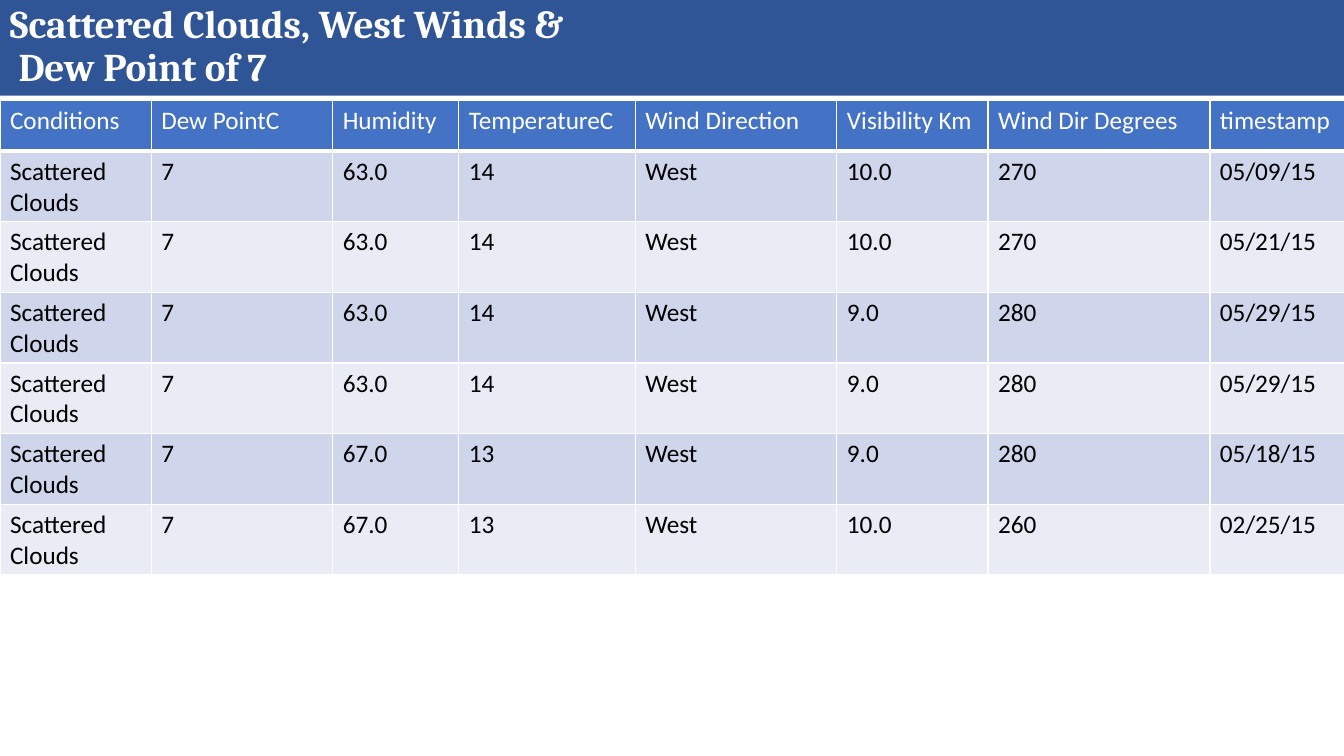
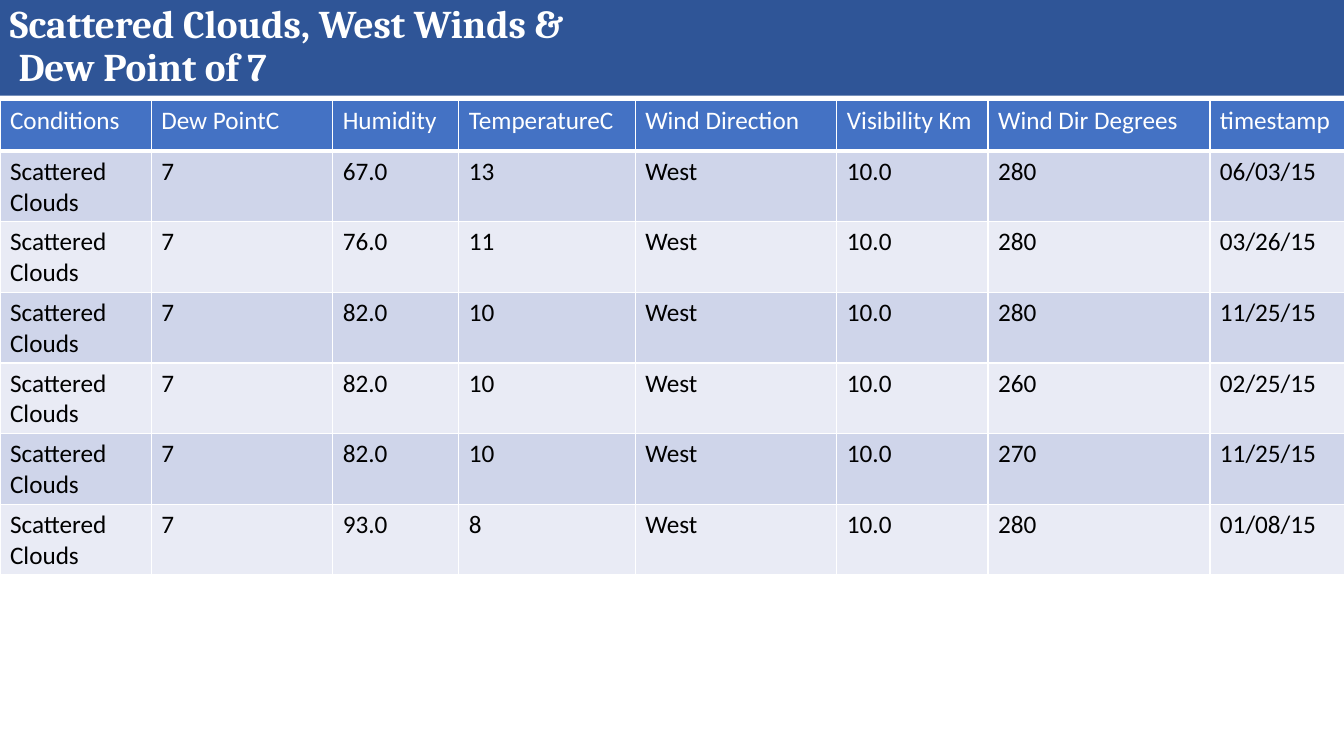
from dataclasses import dataclass

from lxml import etree
from pptx import Presentation
from pptx.dml.color import RGBColor
from pptx.enum.shapes import MSO_SHAPE
from pptx.enum.text import MSO_ANCHOR
from pptx.oxml.ns import qn
from pptx.util import Pt

RECTANGLE = MSO_SHAPE.RECTANGLE
MIDDLE = MSO_ANCHOR.MIDDLE

PX = 9144  # EMU in one px, 100 px to the inch
POINT = 12700
BLANK_LAYOUT = 6
SLIDE_W, SLIDE_H = 1333, 750


@dataclass(frozen=True)
class Theme:
    band: str = "2F5597"
    header: str = "4472C4"
    stripes: tuple = ("CFD5EA", "E9EBF5")
    light: str = "FFFFFF"
    dark: str = "000000"
    title_font: str = "Cambria"
    body_font: str = "Calibri"
    title_size: int = 28
    body_size: int = 18
    title_spacing: float = 0.9
    border: int = 1
    header_border: int = 3


THEME = Theme()

# Boxes: left, top, width, height
BAND_BOX = (0, 0, SLIDE_W, 95)
TITLE_BOX = (0, -2, SLIDE_W, 98)
TABLE_LEFT, TABLE_TOP = 0, 100
ROW_H = 50

TITLE = "Scattered Clouds, West Winds &\n Dew Point of 7"
COLUMNS = {
    "Conditions": 150,
    "Dew PointC": 180,
    "Humidity": 125,
    "TemperatureC": 175,
    "Wind Direction": 200,
    "Visibility Km": 150,
    "Wind Dir Degrees": 220,
    "timestamp": 135,
}

# Each reading: humidity, temperature, visibility, wind degrees, date
READINGS = [
    [
        ("63.0", "14", "10.0", "270", "05/09/15"),
        ("63.0", "14", "10.0", "270", "05/21/15"),
        ("63.0", "14", "9.0", "280", "05/29/15"),
        ("63.0", "14", "9.0", "280", "05/29/15"),
        ("67.0", "13", "9.0", "280", "05/18/15"),
        ("67.0", "13", "10.0", "260", "02/25/15"),
    ],
    [
        ("67.0", "13", "10.0", "280", "06/03/15"),
        ("76.0", "11", "10.0", "280", "03/26/15"),
        ("82.0", "10", "10.0", "280", "11/25/15"),
        ("82.0", "10", "10.0", "260", "02/25/15"),
        ("82.0", "10", "10.0", "270", "11/25/15"),
        ("93.0", "8", "10.0", "280", "01/08/15"),
    ],
]


def emu(box):
    return [length * PX for length in box]


def paint(fill, color):
    fill.solid()
    fill.fore_color.rgb = RGBColor.from_string(color)


def write(frame, text, *, font=THEME.body_font, size=THEME.body_size,
          color=THEME.dark, bold=False, spacing=None):
    """Fill a text frame, one paragraph for each line of text."""
    frame.word_wrap = True
    for index, line in enumerate(text.split("\n")):
        paragraph = frame.add_paragraph() if index else frame.paragraphs[0]
        paragraph.line_spacing = spacing
        run = paragraph.add_run()
        run.text = line
        run.font.name = font
        run.font.size = Pt(size)
        run.font.bold = bold
        run.font.color.rgb = RGBColor.from_string(color)


def add_borders(cell, bottom):
    properties = cell._tc.get_or_add_tcPr()
    widths = {"L": THEME.border, "R": THEME.border, "T": THEME.border, "B": bottom}
    for side, width in widths.items():
        line = etree.SubElement(properties, qn(f"a:ln{side}"), w=str(width * POINT))
        solid = etree.SubElement(line, qn("a:solidFill"))
        etree.SubElement(solid, qn("a:srgbClr"), val=THEME.light)


def add_title_band(slide, band_box, title_box, title):
    # Colour band
    band = slide.shapes.add_shape(RECTANGLE, *emu(band_box))
    band.shadow.inherit = False
    paint(band.fill, THEME.band)
    band.line.fill.background()

    # Title
    heading = slide.shapes.add_textbox(*emu(title_box)).text_frame
    heading.vertical_anchor = MIDDLE
    write(heading, title, font=THEME.title_font, size=THEME.title_size,
          color=THEME.light, bold=True, spacing=THEME.title_spacing)


def add_weather_table(slide, left, top, readings):
    rows = [tuple(COLUMNS)]
    rows += [("Scattered Clouds", "7", humidity, temperature, "West", *rest)
             for humidity, temperature, *rest in readings]
    box = (left, top, sum(COLUMNS.values()), ROW_H * len(rows))
    weather = slide.shapes.add_table(len(rows), len(COLUMNS), *emu(box)).table
    for column, width in zip(weather.columns, COLUMNS.values()):
        column.width = width * PX

    for row_index, values in enumerate(rows):
        is_header = row_index == 0
        fill = THEME.header if is_header else THEME.stripes[(row_index - 1) % 2]
        for column_index, value in enumerate(values):
            cell = weather.cell(row_index, column_index)
            add_borders(cell, THEME.header_border if is_header else THEME.border)
            paint(cell.fill, fill)
            write(cell.text_frame, value,
                  color=THEME.light if is_header else THEME.dark)


def add_weather_slide(deck, readings):
    slide = deck.slides.add_slide(deck.slide_layouts[BLANK_LAYOUT])
    add_title_band(slide, BAND_BOX, TITLE_BOX, TITLE)
    add_weather_table(slide, TABLE_LEFT, TABLE_TOP, readings)


def main():
    deck = Presentation()
    deck.slide_width, deck.slide_height = emu((SLIDE_W, SLIDE_H))
    for readings in READINGS:
        add_weather_slide(deck, readings)
    deck.save("out.pptx")


if __name__ == "__main__":
    main()
